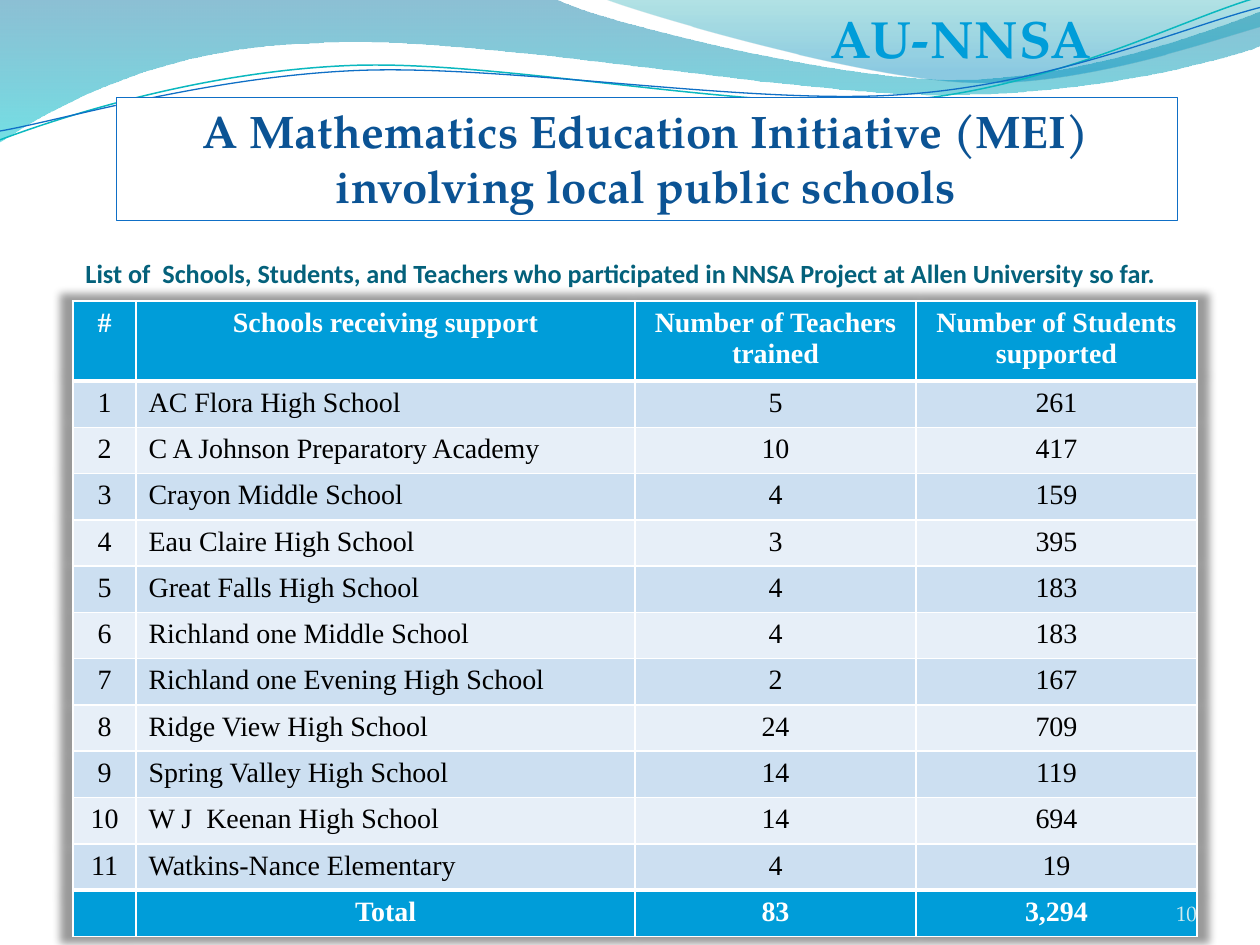
from math import cos, radians, sin
from lxml.etree import SubElement
from pptx import Presentation
from pptx.dml.color import RGBColor
from pptx.enum.text import MSO_ANCHOR as Anchor, MSO_AUTO_SIZE as AutoSize, PP_ALIGN as Align
from pptx.oxml import parse_xml
from pptx.oxml.ns import nsdecls, qn
from pptx.util import Inches, Pt

COLORS = {
    "white": "FFFFFF", "black": "000000", "accent": "009DD9", "band_dark": "CCDFF1",
    "band_light": "E7EFF8", "title": "0B5394", "outline": "0F6FC6", "caption": "04617B",
    "number": "D1EAEE", "teal_line": "0AB8BF", "deep_accent": "006F99",
    "wave_blue": "0074A1", "wave_cyan": "00C6CF", "crest_teal": "00A1A9", "crest_blue": "008BBF",
}
SERIF, SANS, TABLE_FONT = "TeX Gyre Pagella", "Calibri", "Times New Roman"
TILT = 2.7


def write(text_frame, text, font_name, size, color, bold=False, align=Align.LEFT):
    """Add one formatted run to the first paragraph and return it."""
    paragraph = text_frame.paragraphs[0]
    paragraph.alignment = align
    run = paragraph.add_run()
    run.text = text
    run.font.name, run.font.size, run.font.bold = font_name, Pt(size), bold
    run.font.color.rgb = RGBColor.from_string(COLORS[color])
    return run


def shade(fill, stops):
    """Apply a top-to-bottom gradient of (position, color, opacity) stops."""
    fill.gradient()
    fill.gradient_angle = 270
    for stop, (position, color, opacity) in zip(fill.gradient_stops, stops):
        stop.position = position
        stop.color.rgb = RGBColor.from_string(COLORS[color])
        if opacity < 1:
            for element in stop._gs.iter(qn("a:srgbClr")):
                SubElement(element, qn("a:alpha"), val=str(round(opacity * 100000)))


presentation = Presentation()
presentation.slide_width, presentation.slide_height = Inches(10), Inches(7.5)
slide = presentation.slides.add_slide(presentation.slide_layouts[5])
shapes = slide.shapes

# Waves: a point is a straight segment, a triple of points a Bezier curve
waves = [
    {"start": (0, 0), "parts": [
        [(4.4, -0.01)], [(4.76, 0.17), (6.64, 0.63), (7.58, 0.63)],
        [(8.53, 0.63), (9.58, 0.26), (10, 0.09)], [(10.01, 0.36)],
        [(9.83, 0.44), (8.7, 0.76), (7.46, 0.75)], [(6.22, 0.75), (3.82, 0.28), (2.57, 0.34)],
        [(1.29, 0.36), (0.46, 0.83), (-0.01, 1.13)], [(0, 0)]],
     "stops": [(0, "wave_blue", 0.45), (1, "wave_cyan", 0.55)]},
    {"start": (4.79, -0.01), "parts": [
        [(5.09, 0.11), (6.82, 0.62), (7.69, 0.65)], [(8.56, 0.69), (9.61, 0.32), (10, 0.21)],
        [(10, 0)], [(4.79, -0.01)]],
     "stops": [(0, "crest_teal", 0.3), (0.8, "crest_blue", 0.45)]},
    {"start": (0, 1.11), "parts": [
        [(0.48, 0.93), (1.58, 0.57), (2.77, 0.52)], [(3.95, 0.47), (5.93, 0.89), (7.13, 0.8)],
        [(8.33, 0.71), (9.38, 0.15), (9.98, -0.02)]],
     "line": ("teal_line", 0.85), "center": (4.99, 0.58)},
    {"start": (0, 1.04), "parts": [
        [(0.47, 0.96), (1.64, 0.61), (2.83, 0.56)], [(4.03, 0.51), (5.97, 0.84), (7.17, 0.75)],
        [(8.36, 0.67), (9.41, 0.21), (10, 0.06)]],
     "line": ("outline", 0.75), "center": (5, 0.59)},
]
for wave in waves:
    points = [wave["start"]] + [point for part in wave["parts"] for point in part]
    if "center" in wave:
        middle_x, middle_y = wave["center"]
        cosine, sine = cos(radians(TILT)), sin(radians(TILT))
        points = [(middle_x + (x - middle_x) * cosine - (y - middle_y) * sine,
                   middle_y + (x - middle_x) * sine + (y - middle_y) * cosine)
                  for x, y in points]
    vertices = [(Inches(x), Inches(y)) for x, y in points]
    builder = shapes.build_freeform(*vertices[0])
    builder.add_line_segments(vertices[1:], close="stops" in wave)
    shape = builder.convert_to_shape()
    shape.shadow.inherit = False

    # Join each triple of segments into one cubic curve
    segments = iter(list(shape._element.iter(qn("a:lnTo"))))
    for part in wave["parts"]:
        first, *others = [next(segments) for point in part]
        if others:
            first.tag = qn("a:cubicBezTo")
            for segment in others:
                first.append(segment[0])
                segment.getparent().remove(segment)

    if "stops" in wave:
        shade(shape.fill, wave["stops"])
        shape.line.fill.background()
    else:
        color, width = wave["line"]
        shape.rotation = 360 - TILT
        shape.fill.background()
        shape.line.color.rgb = RGBColor.from_string(COLORS[color])
        shape.line.width = Pt(width)

# Program name and caption
program = shapes.add_textbox(Inches(6.42), 0, Inches(2.42), Inches(0.61))
program.text_frame.word_wrap = True
program.text_frame.auto_size = AutoSize.SHAPE_TO_FIT_TEXT
run = write(program.text_frame, "AU-NNSA", SERIF, 30, "accent", True, Align.CENTER)
shade(run.font.fill, [(0.25, "accent", 1), (1, "deep_accent", 1)])
run.font._element.set("spc", "50")

caption = shapes.add_textbox(Inches(0.58), Inches(2), Inches(8.75), Inches(0.33))
caption.text_frame.word_wrap = True
caption.text_frame.vertical_anchor = Anchor.MIDDLE
write(caption.text_frame, "List of  Schools, Students, and Teachers who participated in NNSA "
      "Project at Allen University so far.", SANS, 15, "caption", True)

# Table of schools
schools = [
    ("AC Flora High School ", 5, 261), ("C A Johnson Preparatory Academy", 10, 417),
    ("Crayon Middle School", 4, 159), ("Eau Claire High School", 3, 395),
    ("Great Falls High School", 4, 183), ("Richland one Middle School", 4, 183),
    ("Richland one Evening High School", 2, 167), ("Ridge View High School", 24, 709),
    ("Spring Valley High School", 14, 119), ("W J  Keenan High School", 14, 694),
    ("Watkins-Nance Elementary", 4, 19),
]
rows = [("#", "Schools receiving support", "Number of Teachers trained", "Number of Students supported")]
rows += [(number, *school) for number, school in enumerate(schools, 1)]
rows += [("", "Total", "83", "3,294")]
last = len(rows) - 1
table_height, header_height = 5.03, 0.62

table = shapes.add_table(len(rows), 4, Inches(0.58), Inches(2.39),
                         Inches(8.92), Inches(table_height)).table
for column, width in zip(table.columns, (0.5, 3.96, 2.23, 2.23)):
    column.width = Inches(width)
for index, row in enumerate(table.rows):
    row.height = Inches((table_height - header_height) / last if index else header_height)
table._tbl.tblPr.insert(0, parse_xml(
    f'<a:effectLst {nsdecls("a")}><a:outerShdw blurRad="63500" sx="102000" sy="102000" '
    'algn="ctr" rotWithShape="0"><a:srgbClr val="000000"><a:alpha val="40000"/></a:srgbClr>'
    '</a:outerShdw></a:effectLst>'))

for row_index, values in enumerate(rows):
    strong = row_index in (0, last)
    fill = "accent" if strong else ("band_light", "band_dark")[row_index % 2]
    top = 3 if row_index in (1, last) else 1
    bottom = 3 if row_index in (0, last - 1) else 1
    for column_index, value in enumerate(values):
        cell = table.cell(row_index, column_index)
        if value != "":
            align = Align.LEFT if column_index == 1 and not strong else Align.CENTER
            write(cell.text_frame, str(value), TABLE_FONT, 16,
                  "white" if strong else "black", strong, align)
        else:
            SubElement(cell.text_frame.paragraphs[0]._p, qn("a:endParaRPr"), sz="1600")
        properties = cell._tc.get_or_add_tcPr()
        for side, width in zip("LRTB", (1, 1, top, bottom)):
            border = SubElement(properties, qn(f"a:ln{side}"), w=str(Pt(width)))
            SubElement(SubElement(border, qn("a:solidFill")), qn("a:srgbClr"), val=COLORS["white"])
        cell.fill.solid()
        cell.fill.fore_color.rgb = RGBColor.from_string(COLORS[fill])

# Title in front of the waves and the table
title = shapes.title
title.left, title.top, title.width, title.height = map(Inches, (0.92, 0.77, 8.42, 0.98))
title.fill.solid()
title.fill.fore_color.rgb = RGBColor.from_string(COLORS["white"])
title.line.color.rgb = RGBColor.from_string(COLORS["outline"])
title.line.width = Pt(0.25)
title.text_frame.word_wrap = True
title.text_frame.auto_size = AutoSize.SHAPE_TO_FIT_TEXT
title.text_frame.vertical_anchor = Anchor.TOP
write(title.text_frame, "A Mathematics Education Initiative (MEI) involving local public schools",
      SERIF, 26, "title", True, Align.CENTER)
shapes._spTree.append(title._element)

# Slide number
number = shapes.add_textbox(Inches(8.67), Inches(6.95), Inches(0.83), Inches(0.4))
frame = number.text_frame
frame.word_wrap = True
frame.margin_left = frame.margin_right = frame.margin_top = frame.margin_bottom = 0
frame.vertical_anchor = Anchor.BOTTOM
write(frame, "10", SERIF, 12, "number", align=Align.RIGHT)

presentation.save("out.pptx")
